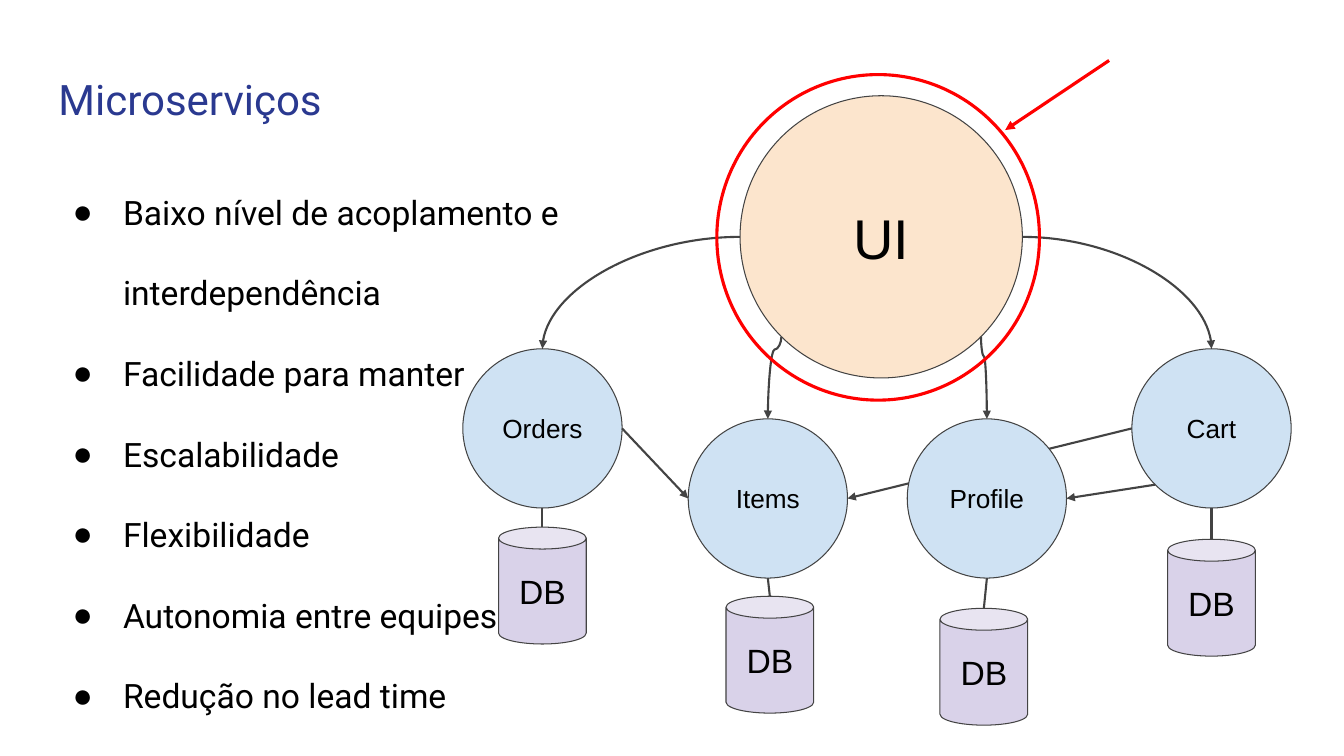
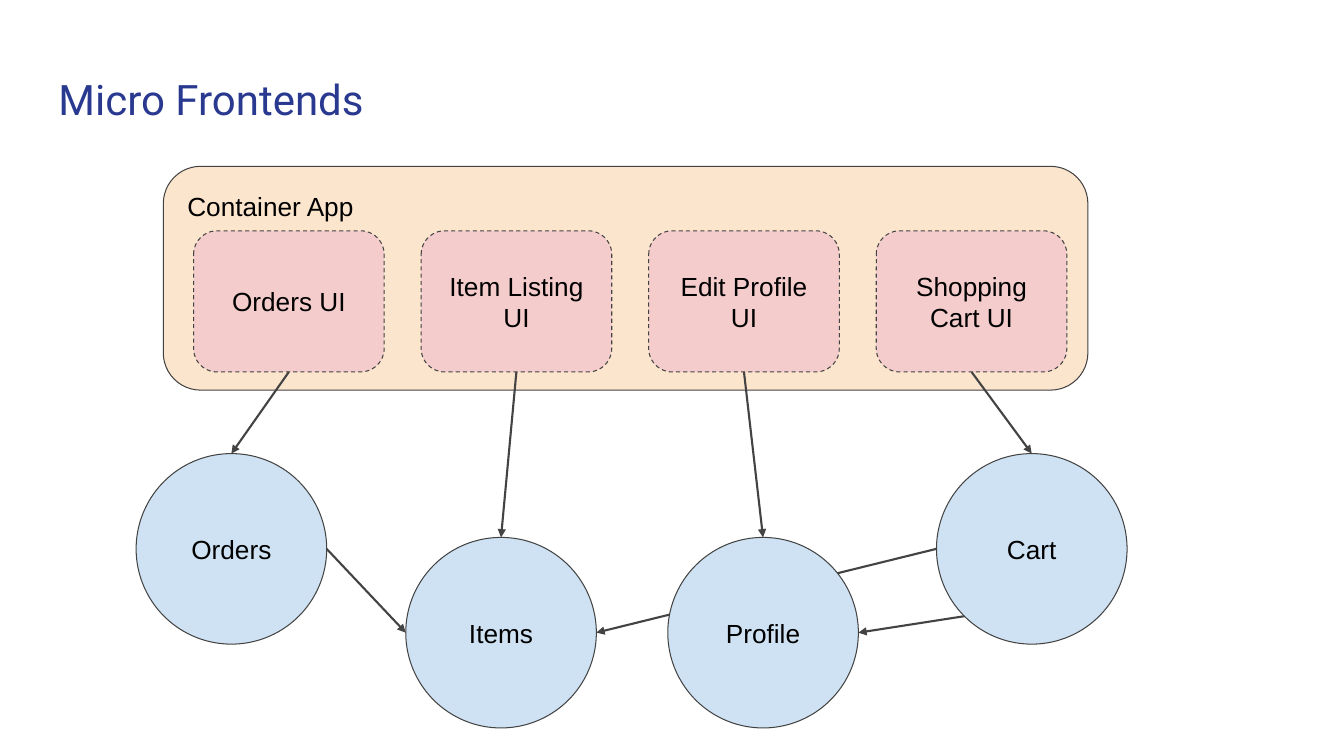
import math

import pptx
import pptx.util
import pptx.dml.color
import pptx.enum.dml
import pptx.enum.shapes
import pptx.enum.text
import pptx.oxml
import pptx.oxml.ns
from lxml import etree

COLORS = {"title": "2A3990", "text": "000000", "line": "434343", "mark": "FF0000",
          "ui": "FCE5CD", "service": "CFE2F3", "db": "D9D2E9", "card": "F4CCCC"}
SHAPE = pptx.enum.shapes.MSO_SHAPE
CONNECTOR = pptx.enum.shapes.MSO_CONNECTOR
ANCHOR = pptx.enum.text.MSO_ANCHOR
ALIGN = pptx.enum.text.PP_ALIGN
qn = pptx.oxml.ns.qn
LABEL = 18.7
# Sites of an ellipse, counted counter-clockwise in eighths
TOP, LEFT, LOWER_LEFT, BOTTOM, LOWER_RIGHT, RIGHT = 0, 2, 3, 4, 5, 6


def grid(n):
    """Length of n grid cells; the slide has 75 rows of square cells."""
    return pptx.util.Inches(n * 0.1)


def rgb(name):
    return pptx.dml.color.RGBColor.from_string(COLORS[name])


# Shared text, shape and line styles
def format_frame(tf, anchor):
    tf.word_wrap = True
    tf.auto_size = pptx.enum.text.MSO_AUTO_SIZE.NONE
    tf.vertical_anchor = anchor
    tf.margin_left = tf.margin_right = tf.margin_top = tf.margin_bottom = grid(1.3)


def format_runs(p, size, font, color="text"):
    for r in p.runs:
        r.font.size = pptx.util.Pt(size)
        r.font.name = font
        r.font.color.rgb = rgb(color)


def place(sp, box):
    sp.left, sp.top, sp.width, sp.height = map(grid, box)


def add_title(s, text):
    sp = s.shapes.title
    place(sp, (4.5, 6, 60, 8.9))
    tf = sp.text_frame
    tf.text = text
    format_frame(tf, ANCHOR.TOP)
    tf.paragraphs[0].alignment = ALIGN.LEFT
    format_runs(tf.paragraphs[0], 30, "Roboto", "title")


def add_list(s, box, items):
    sp = s.placeholders[1]
    place(sp, box)
    tf = sp.text_frame
    tf.text = "\n".join(items)
    format_frame(tf, ANCHOR.TOP)
    for p in tf.paragraphs:
        pPr = p._p.get_or_add_pPr()
        pPr.set("marL", str(grid(6.7)))
        pPr.set("indent", str(-grid(5)))
        p.line_spacing = 2.0
        p.space_before = p.space_after = pptx.util.Pt(0)
        color = etree.SubElement(pPr, qn("a:buClr"))
        etree.SubElement(color, qn("a:srgbClr"), val=COLORS["text"])
        etree.SubElement(pPr, qn("a:buChar"), char="●")
        format_runs(p, 24, "Roboto")


def add_box(s, kind, box, fill=None, text="", size=LABEL, line="line", width=0.75):
    sp = s.shapes.add_shape(kind, *map(grid, box))
    sp.shadow.inherit = False
    sp.line.color.rgb = rgb(line)
    sp.line.width = pptx.util.Pt(width)
    if fill:
        sp.fill.solid()
        sp.fill.fore_color.rgb = rgb(fill)
    else:
        sp.fill.background()
    if text:
        tf = sp.text_frame
        tf.text = text
        format_frame(tf, ANCHOR.MIDDLE)
        tf.paragraphs[0].alignment = ALIGN.CENTER
        format_runs(tf.paragraphs[0], size, "Arial")
    return sp


def add_line(s, begin, end, kind=CONNECTOR.STRAIGHT, color="line", width=1.5, arrow=True):
    c = s.shapes.add_connector(kind, *(int(v) for v in (*begin, *end)))
    c.line.color.rgb = rgb(color)
    c.line.width = pptx.util.Pt(width)
    if arrow:
        etree.SubElement(c.line._get_or_add_ln(), qn("a:tailEnd"), type="triangle")
    etree.SubElement(c.element.spPr, qn("a:effectLst"))
    return c


# Lines between ellipses
def site(sp, index):
    angle = math.pi / 2 + index * math.pi / 4
    return (sp.left + sp.width / 2 * (1 + math.cos(angle)),
            sp.top + sp.height / 2 * (1 - math.sin(angle)))


def glue(c, begin, i, end, j):
    props = c.element.find(".//" + qn("p:cNvCxnSpPr"))
    for tag, sp, index in (("a:stCxn", begin, i), ("a:endCxn", end, j)):
        etree.SubElement(props, qn(tag), id=str(sp.shape_id), idx=str(index))


def link(s, begin, i, end, j):
    glue(add_line(s, site(begin, i), site(end, j)), begin, i, end, j)


def curve_out(s, begin, i, end):
    """Quarter curve that leaves sideways and enters the top."""
    c = add_line(s, site(begin, i), site(end, TOP), CONNECTOR.CURVE)
    c.element.spPr.find(qn("a:prstGeom")).set("prst", "curvedConnector2")
    glue(c, begin, i, end, TOP)


def curve_down(s, begin, i, end, bend):
    """S-curve that runs downwards: a sideways one turned by a quarter."""
    (x1, y1), (x2, y2) = site(begin, i), site(end, TOP)
    turn = 1 if x2 < x1 else -1
    half_w, half_h = turn * (y2 - y1) / 2, turn * (x1 - x2) / 2
    mx, my = (x1 + x2) / 2, (y1 + y2) / 2
    c = add_line(s, (mx - half_w, my - half_h), (mx + half_w, my + half_h), CONNECTOR.CURVE)
    c.element.spPr.find(qn("a:xfrm")).set("rot", str(turn % 4 * 5400000))
    guides = c.element.spPr.find(qn("a:prstGeom")).find(qn("a:avLst"))
    etree.SubElement(guides, qn("a:gd"), name="adj1", fmla=f"val {bend}")
    glue(c, begin, i, end, TOP)


# Regions
def add_services(s, left, top, d):
    """Four service circles of diameter d; offsets are shares of d."""
    spots = {"Orders": (0, 0), "Items": (1.415, 0.44),
             "Profile": (2.79, 0.44), "Cart": (4.2, 0)}

    def circle(name):
        x, y = spots[name]
        return add_box(s, SHAPE.OVAL, (left + x * d, top + y * d, d, d), "service", name)

    services = {name: circle(name) for name in ("Orders", "Items", "Cart")}
    link(s, services["Cart"], LEFT, services["Items"], RIGHT)
    link(s, services["Orders"], RIGHT, services["Items"], LEFT)
    services["Profile"] = circle("Profile")  # covers the line from Cart to Items
    link(s, services["Cart"], LOWER_LEFT, services["Profile"], RIGHT)
    return [services[name] for name in spots]


def add_database(s, service, shift, gap):
    x, y = site(service, BOTTOM)
    width, height = 8.7, 11.6
    cell = grid(1)
    cx, top = x / cell + shift, y / cell + gap
    add_box(s, SHAPE.CAN, (cx - width / 2, top, width, height), "db", "DB", 24)
    add_line(s, (x, y), (grid(cx), grid(top)), arrow=False)


def add_container(s, box, names):
    """Container with an equal row of cards; returns the cards."""
    left, top, width, height = box
    sp = add_box(s, SHAPE.ROUNDED_RECTANGLE, box, "ui", "Container App")
    sp.text_frame.vertical_anchor = ANCHOR.TOP
    sp.text_frame.paragraphs[0].alignment = ALIGN.LEFT
    pad, card_w, card_h, gap = 3, 18.9, 14, 3.67
    cards = []
    for n, name in enumerate(names):
        x = left + pad + n * (card_w + gap)
        card = add_box(s, SHAPE.ROUNDED_RECTANGLE, (x, top + 6.4, card_w, card_h), "card", name)
        card.line.dash_style = pptx.enum.dml.MSO_LINE.DASH
        cards.append(card)
    return cards


# Slides
def microservices_slide(prs):
    s = prs.slides.add_slide(prs.slide_layouts[1])
    add_title(s, "Microserviços")
    add_list(s, (4.2, 13.7, 64, 59), [
        "Baixo nível de acoplamento e interdependência", "Facilidade para manter",
        "Escalabilidade", "Flexibilidade", "Autonomia entre equipes", "Redução no lead time"])
    services = add_services(s, 45.9, 34.6, 15.8)
    for service, shift, gap in zip(services, (0, 0.2, -0.3, 0), (1.9, 1.8, 3, 3.1)):
        add_database(s, service, shift, gap)
    orders, items, profile, cart = services
    ui = add_box(s, SHAPE.OVAL, (73.4, 9.5, 28, 28), "ui", "UI", 40)
    curve_out(s, ui, LEFT, orders)
    curve_down(s, ui, LOWER_LEFT, items, 15700)
    curve_out(s, ui, RIGHT, cart)
    curve_down(s, ui, LOWER_RIGHT, profile, 24200)
    # Red highlight
    add_box(s, SHAPE.OVAL, (71.1, 7.4, 32, 32.3), line="mark", width=2.25)
    add_line(s, (grid(110), grid(6)), (grid(99.7), grid(12.9)), color="mark", width=2.25)


def micro_frontends_slide(prs):
    s = prs.slides.add_slide(prs.slide_layouts[5])
    add_title(s, "Micro Frontends")
    cards = add_container(s, (16.2, 16.5, 91.7, 22.2), [
        "Orders UI", "Item Listing UI", "Edit Profile UI", "Shopping Cart UI"])
    services = add_services(s, 13.5, 45, 18.9)
    for card, service in zip(cards, services):
        c = add_line(s, (0, 0), (0, 0))
        c.begin_connect(card, 2)
        c.end_connect(service, 0)


def main():
    prs = pptx.Presentation()
    prs.slide_width, prs.slide_height = pptx.util.Inches(13.33), pptx.util.Inches(7.5)
    microservices_slide(prs)
    micro_frontends_slide(prs)
    prs.save("out.pptx")


if __name__ == "__main__":
    main()
